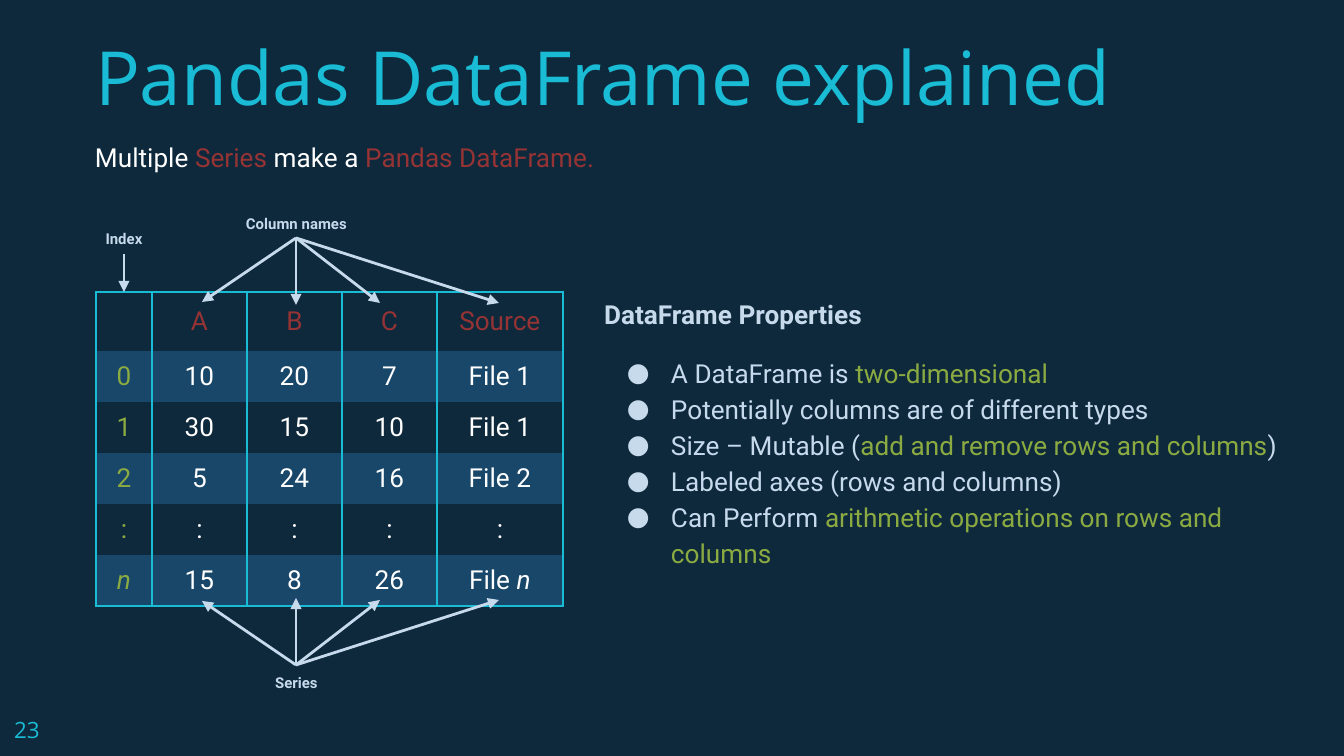
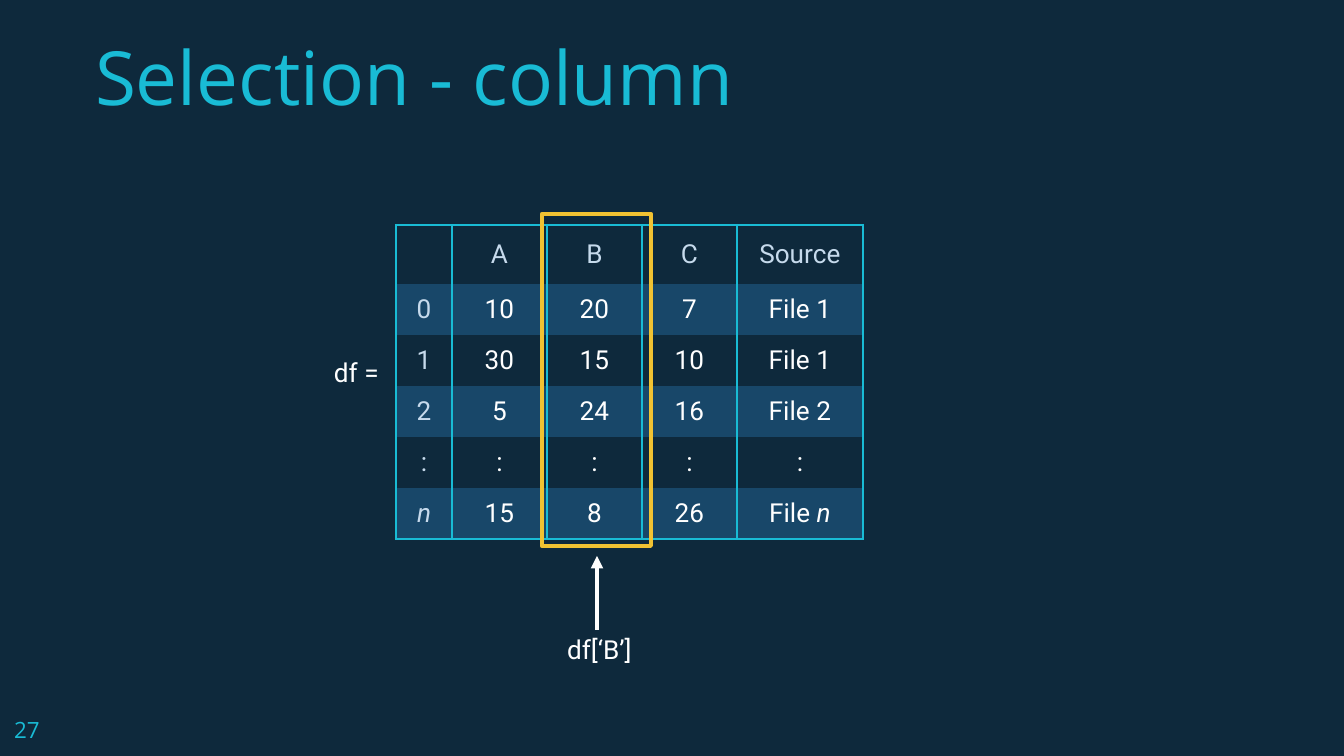
from lxml import etree
from pptx import Presentation
from pptx.dml.color import RGBColor
from pptx.enum.shapes import MSO_CONNECTOR as Connector, MSO_SHAPE as Preset
from pptx.enum.text import MSO_ANCHOR as Anchor, MSO_AUTO_SIZE as AutoSize, PP_ALIGN as Align
from pptx.oxml.ns import qn
from pptx.util import Emu, Pt

PIXEL = 914400 / 134.4
NAVY, STEEL, CYAN = "0E293C", "184769", "19BBD5"
WHITE, PALE, RED = "FFFFFF", "C6DAEC", "963334"
GREEN, GOLD = "8BAB42", "F1C232"
BODY_FONT, TITLE_FONT = "Roboto", "Open Sans"
INSET, CELL_INSET = 13, 9

COLUMN_WIDTHS = [56, 95, 95, 95, 126]
ROW_HEIGHTS = [58] + [51] * 5
FRAME_ROWS = [
    ["", "A", "B", "C", "Source"],
    ["0", "10", "20", "7", "File 1"],
    ["1", "30", "15", "10", "File 1"],
    ["2", "5", "24", "16", "File 2"],
    [":"] * 5,
    [[("n", {"italic": True})], "15", "8", "26", ["File ", ("n", {"italic": True})]],
]


def px(pixels):
    """Turn pixels into EMU."""
    return Emu(round(pixels * PIXEL))


def colour(hex_code):
    """Turn a hex string into a colour."""
    return RGBColor.from_string(hex_code)


def add_xml(parent, tag, **attributes):
    """Append a DrawingML element and return it."""
    return etree.SubElement(parent, qn("a:" + tag), attributes)


def write_text(frame, paragraphs, size=14, font=BODY_FONT, ink=WHITE, bold=False,
               italic=False, align=Align.LEFT, anchor=Anchor.TOP, spacing=None,
               inset_y=INSET):
    """Fill a text frame; each paragraph is a string or a list of runs.

    A run is a string, or a pair of a string and its own ink, bold or italic.
    """
    frame.word_wrap = True
    frame.auto_size = AutoSize.NONE
    frame.vertical_anchor = anchor
    frame.margin_left = frame.margin_right = px(INSET)
    frame.margin_top = frame.margin_bottom = px(inset_y)
    for number, runs in enumerate(paragraphs):
        paragraph = frame.add_paragraph() if number else frame.paragraphs[0]
        paragraph.alignment = align
        paragraph.space_before = Pt(0)
        if spacing:
            paragraph.line_spacing = spacing
        for part in [runs] if isinstance(runs, str) else runs:
            words, own = (part, {}) if isinstance(part, str) else part
            run = paragraph.add_run()
            run.text = words
            run.font.size, run.font.name = Pt(size), font
            run.font.bold = own.get("bold", bold)
            run.font.italic = own.get("italic", italic)
            run.font.color.rgb = colour(own.get("ink", ink))


def place(shape, box):
    """Move a placeholder to a box of left, top, width, height."""
    shape.left, shape.top, shape.width, shape.height = map(px, box)


def add_text(slide, box, paragraphs, **text_format):
    """Add a text box."""
    write_text(slide.shapes.add_textbox(*map(px, box)).text_frame, paragraphs, **text_format)


def add_label(slide, box, words):
    """Add a small bold caption, centred in its box."""
    add_text(slide, box, [words], size=8, ink=PALE, bold=True,
             align=Align.CENTER, anchor=Anchor.MIDDLE)


def add_arrow(slide, start, end, ink=PALE, weight=1.5):
    """Draw a straight arrow that points at its end."""
    arrow = slide.shapes.add_connector(Connector.STRAIGHT, *map(px, start + end))
    arrow.line.color.rgb = colour(ink)
    arrow.line.width = Pt(weight)
    add_xml(arrow.line._get_or_add_ln(), "tailEnd", type="triangle")
    add_xml(arrow._element.spPr, "effectLst")


def set_borders(cell, is_first, is_last):
    """Draw cyan sides, and the outer edge on the first and last rows."""
    properties = cell._tc.get_or_add_tcPr()
    drawn = {"lnL": True, "lnR": True, "lnT": is_first, "lnB": is_last}
    for position, (side, shown) in enumerate(drawn.items()):
        line = add_xml(properties, side, w=str(Pt(1.5)))
        if shown:
            add_xml(add_xml(line, "solidFill"), "srgbClr", val=CYAN)
        else:
            add_xml(line, "noFill")
        properties.insert(position, line)


def add_bullet(paragraph):
    """Give a paragraph a round bullet and a hanging indent."""
    properties = paragraph._p.get_or_add_pPr()
    properties.set("marL", str(px(67)))
    properties.set("indent", str(px(-44)))
    add_xml(add_xml(properties, "buClr"), "srgbClr", val=PALE)
    add_xml(properties, "buFont", typeface=BODY_FONT)
    add_xml(properties, "buChar", char="●")


def add_frame_table(slide, left, top, header_ink, index_ink):
    """Draw the DataFrame as a table with its index in the first column."""
    box = (left, top, sum(COLUMN_WIDTHS), sum(ROW_HEIGHTS))
    table = slide.shapes.add_table(len(ROW_HEIGHTS), len(COLUMN_WIDTHS), *map(px, box)).table
    table.first_row = table.horz_banding = False
    for column, width in zip(table.columns, COLUMN_WIDTHS):
        column.width = px(width)
    last = len(FRAME_ROWS) - 1
    for r, values in enumerate(FRAME_ROWS):
        table.rows[r].height = px(ROW_HEIGHTS[r])
        for c, value in enumerate(values):
            cell = table.cell(r, c)
            ink = header_ink if r == 0 else index_ink if c == 0 else WHITE
            cell.fill.solid()
            cell.fill.fore_color.rgb = colour(STEEL if r % 2 else NAVY)
            set_borders(cell, r == 0, r == last)
            cell.vertical_anchor = Anchor.MIDDLE
            cell.margin_left = cell.margin_right = px(INSET)
            cell.margin_top = cell.margin_bottom = px(CELL_INSET)
            if value:
                write_cell(cell, value, ink)


def write_cell(cell, value, ink):
    """Write one centred table value."""
    write_text(cell.text_frame, [value], ink=ink, align=Align.CENTER,
               anchor=Anchor.MIDDLE, inset_y=CELL_INSET)


def add_annotated_frame(slide, left, top):
    """Draw the table with its index, column names and series pointed out."""
    add_frame_table(slide, left, top, RED, GREEN)
    add_label(slide, (left - 32, top - 68, 120, 30), "Index")
    add_arrow(slide, (left + 28, top - 38), (left + 28, top))
    add_label(slide, (left + 130, top - 84, 141, 30), "Column names")
    add_label(slide, (left + 130, top + 375, 141, 30), "Series")
    tips = [(106, 10), (200, 13), (284, 11), (403, 11)]
    mirror = 319
    for flipped in (False, True):
        for x, y in tips:
            hub_y, tip_y = (mirror + 54, mirror - y) if flipped else (-54, y)
            add_arrow(slide, (left + 200, top + hub_y), (left + x, top + tip_y))


def add_selected_frame(slide, left, top):
    """Draw the table with column B framed and the code that selects it."""
    add_frame_table(slide, left, top, PALE, PALE)
    selection = slide.shapes.add_shape(
        Preset.RECTANGLE, *map(px, (left + 146, top - 11, 109, 332)))
    selection.shadow.inherit = False
    selection.fill.background()
    selection.line.color.rgb = colour(GOLD)
    selection.line.width = Pt(2.25)
    add_xml(selection.line._get_or_add_ln(), "round")
    add_text(slide, (left - 75, top + 118, 220, 120), ["df ="])
    add_text(slide, (left + 158, top + 395, 339, 71), ["df[‘B’]"])
    add_arrow(slide, (left + 201, top + 405), (left + 201, top + 331), WHITE, 2.25)


def add_properties(body, box):
    """Fill the body placeholder with a heading and bulleted properties."""
    green = {"ink": GREEN}
    place(body, box)
    write_text(body.text_frame, [
        [("DataFrame Properties", {"bold": True})],
        ["A DataFrame is ", ("two-dimensional", green)],
        "Potentially columns are of different types",
        ["Size – Mutable (", ("add and remove rows and columns", green), ")"],
        "Labeled axes (rows and columns)",
        ["Can Perform ", ("arithmetic operations on rows and columns", green)],
    ], ink=PALE, spacing=1.15)
    heading, *properties = body.text_frame.paragraphs
    heading_format = heading._p.get_or_add_pPr()
    heading_format.set("marL", "0")
    heading_format.set("indent", "0")
    add_xml(heading_format, "buNone")
    for paragraph in properties:
        add_bullet(paragraph)
    properties[0].space_before = Pt(12)


def new_slide(deck, layout, title, number):
    """Add a slide with the shared title style and page number."""
    slide = deck.slides.add_slide(deck.slide_layouts.get_by_name(layout))
    place(slide.shapes.title, (82, 39, 1171, 95))
    write_text(slide.shapes.title.text_frame, [title], size=40, font=TITLE_FONT,
               ink=CYAN, anchor=Anchor.BOTTOM)
    add_text(slide, (1, 703, 81, 52), [number], size=12, font=TITLE_FONT, ink=CYAN)
    return slide


def build_explained(deck):
    """Build the slide that explains the DataFrame."""
    slide = new_slide(deck, "Title and Content", "Pandas DataFrame explained", "23")
    red = {"ink": RED}
    add_text(slide, (82, 128, 668, 63),
             [["Multiple ", ("Series ", red), "make a ", ("Pandas DataFrame.", red)]])
    add_annotated_frame(slide, 96, 292)
    add_properties(slide.placeholders[1], (591, 281, 741, 368))


def build_selection(deck):
    """Build the slide that selects one column."""
    slide = new_slide(deck, "Title Only", "Selection - column", "27")
    add_selected_frame(slide, 396, 225)


deck = Presentation()
deck.slide_width, deck.slide_height = px(1344), px(756)
backdrop = deck.slide_master.background.fill
backdrop.solid()
backdrop.fore_color.rgb = colour(NAVY)
build_explained(deck)
build_selection(deck)
deck.save("out.pptx")
